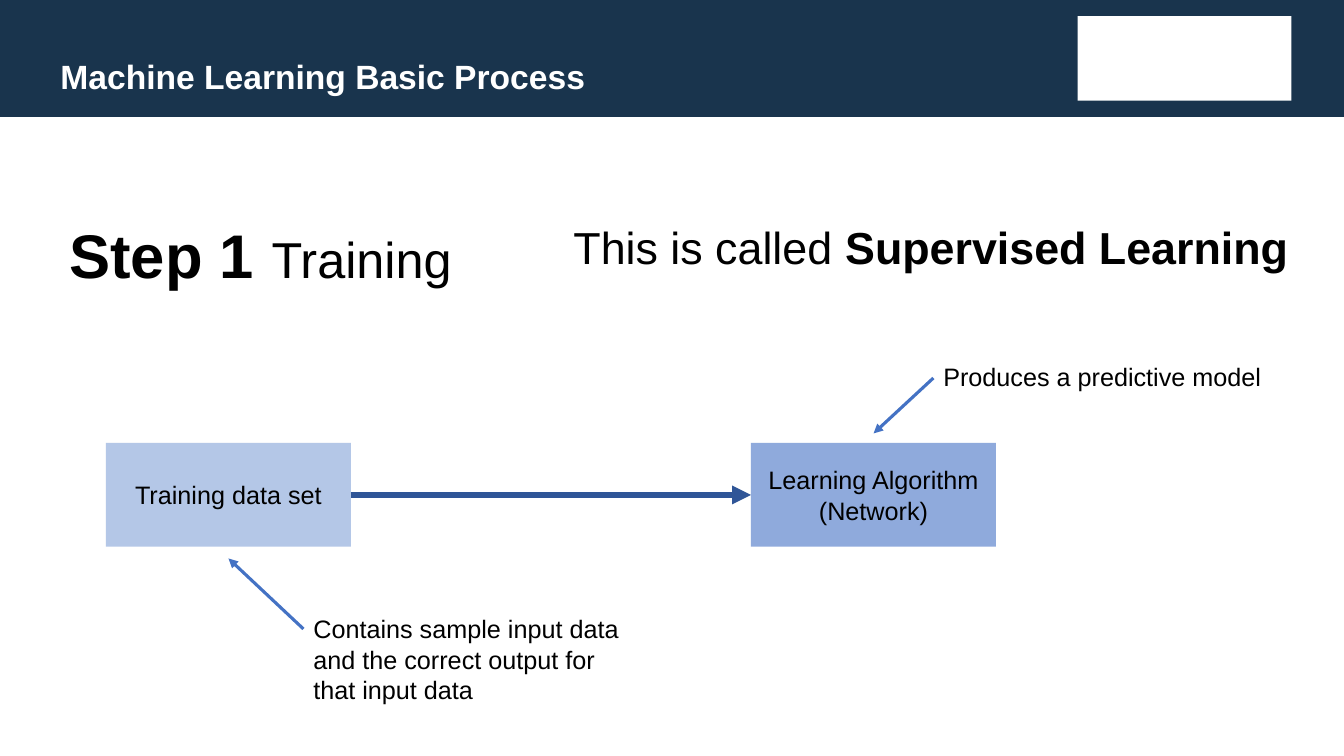
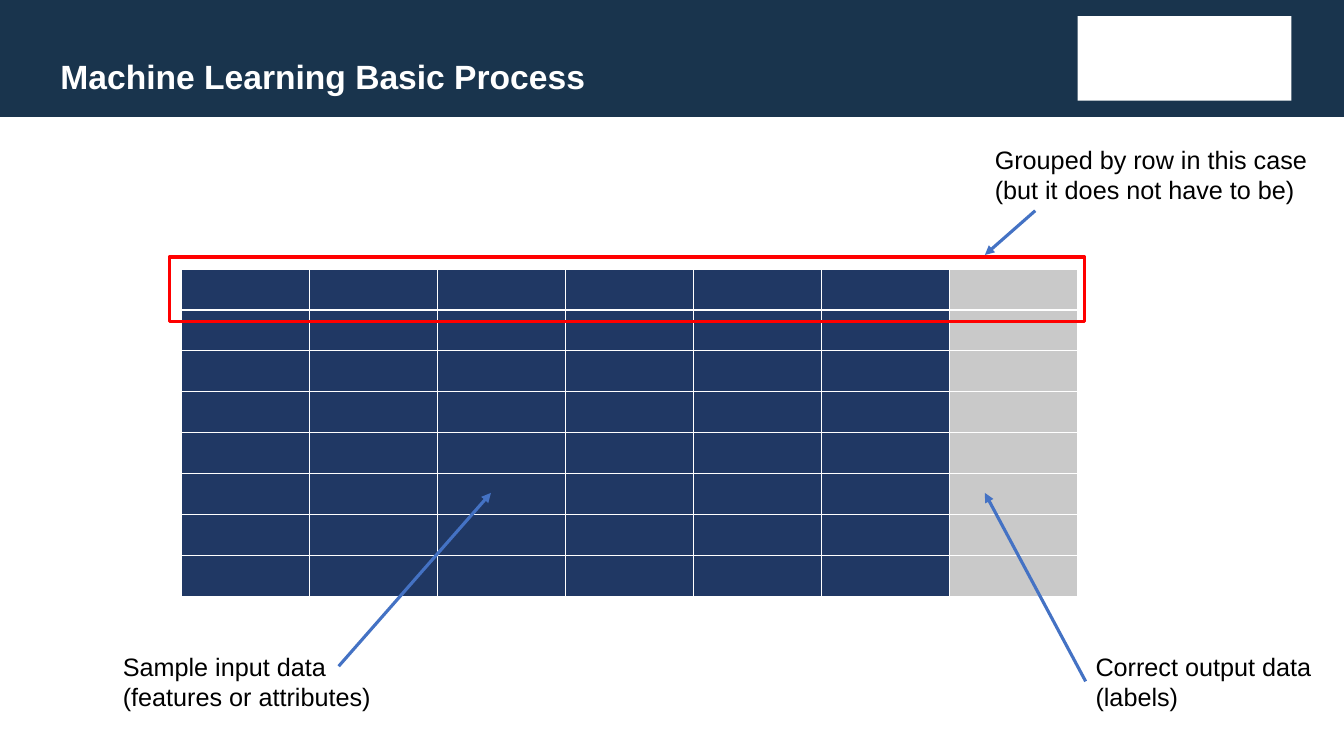
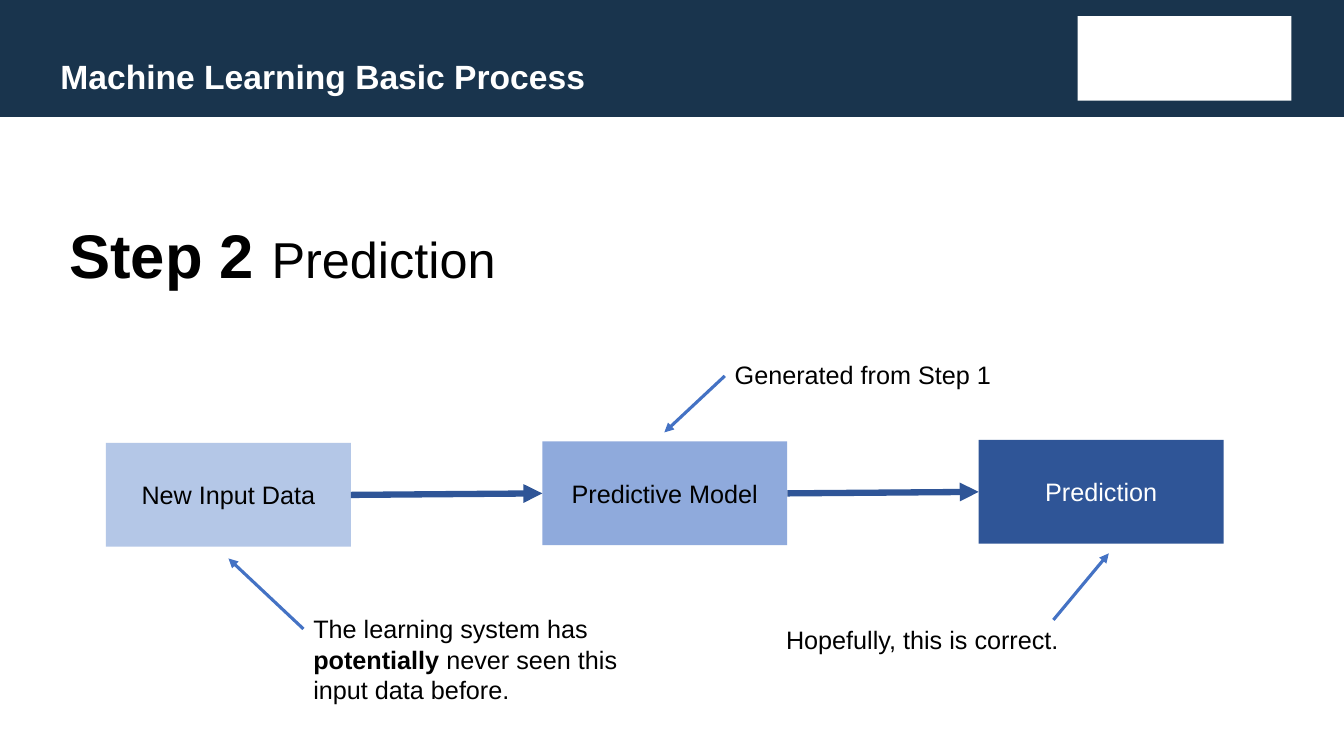
from dataclasses import dataclass
from typing import Any

import pptx
import pptx.dml.color
import pptx.enum.shapes
import pptx.enum.text
import pptx.oxml
import pptx.oxml.ns
import pptx.util

RGBColor = pptx.dml.color.RGBColor
WHITE = RGBColor(0xFF, 0xFF, 0xFF)
BLACK = RGBColor(0x00, 0x00, 0x00)
RED = RGBColor(0xFF, 0x00, 0x00)
BAND = RGBColor(0x19, 0x34, 0x4D)
PALE_BLUE = RGBColor(0xB4, 0xC7, 0xE7)
MID_BLUE = RGBColor(0x8F, 0xAA, 0xDC)
DEEP_BLUE = RGBColor(0x2F, 0x55, 0x97)
POINTER_BLUE = RGBColor(0x44, 0x72, 0xC4)
FEATURE_NAVY = RGBColor(0x20, 0x38, 0x64)
LABEL_GREY = RGBColor(0xC9, 0xC9, 0xC9)

FONT = "Arial"
TITLE = "Machine Learning Basic Process"
SLIDE_WIDTH = pptx.util.Inches(40 / 3)
SLIDE_HEIGHT = pptx.util.Inches(7.5)
TITLE_ONLY = 5

# The slide is a grid of 100 columns by 100 rows.
BAND_ROWS = 15.47
STAGE_COLUMNS, STAGE_ROWS = 18.23, 13.73
STAGE_LEFT, STAGE_PITCH = 7.88, 32.47
FEATURES, SAMPLES = 6, 8
CELL_COLUMNS, CELL_ROWS = 9.52, 5.4


@dataclass(frozen=True)
class Area:
    left: float
    top: float
    width: float
    height: float


@dataclass(frozen=True)
class Words:
    text: str
    size: float = 18
    bold: bool = False


@dataclass(frozen=True)
class Note:
    area: Area
    paragraphs: list[list[Words]]
    wrap: bool = True


@dataclass(frozen=True)
class Stage:
    text: str
    left: float
    top: float
    fill: RGBColor
    ink: RGBColor = BLACK


@dataclass(frozen=True)
class Pointer:
    start: tuple[float, float]
    end: tuple[float, float]


def across(columns: float) -> int:
    return round(SLIDE_WIDTH * columns / 100)


def down(rows: float) -> int:
    return round(SLIDE_HEIGHT * rows / 100)


def extent(area: Area) -> tuple[int, int, int, int]:
    return across(area.left), down(area.top), across(area.width), down(area.height)


def assign(target: Any, values: dict[str, Any]) -> None:
    for name, value in values.items():
        setattr(target, name, value)


def write(paragraph: Any, words: list[Words], ink: RGBColor = BLACK) -> None:
    for part in words:
        run = paragraph.add_run()
        run.text = part.text
        assign(run.font, {"name": FONT, "size": pptx.util.Pt(part.size), "bold": part.bold})
        run.font.color.rgb = ink


def paint(shape: Any, fill: RGBColor) -> None:
    shape.fill.solid()
    shape.fill.fore_color.rgb = fill
    shape.line.fill.background()


def add_rectangle(slide: Any, area: Area) -> Any:
    rectangle = slide.shapes.add_shape(
        pptx.enum.shapes.MSO_SHAPE.RECTANGLE, *extent(area))
    rectangle.shadow.inherit = False
    return rectangle


def add_titled_slide(deck: Any) -> Any:
    """Add a slide with the dark title band and the white logo panel."""
    slide = deck.slides.add_slide(deck.slide_layouts[TITLE_ONLY])
    band = slide.shapes.title
    assign(band, dict(zip(("left", "top", "width", "height"),
                          extent(Area(0, 0, 100, BAND_ROWS)))))
    paint(band, BAND)
    assign(band.text_frame, {
        "vertical_anchor": pptx.enum.text.MSO_ANCHOR.BOTTOM,
        "auto_size": pptx.enum.text.MSO_AUTO_SIZE.NONE,
        "word_wrap": True,
        "margin_left": pptx.util.Inches(0.1),
        "margin_top": pptx.util.Inches(0.05),
        "margin_right": pptx.util.Inches(0.1),
        "margin_bottom": pptx.util.Inches(0.2),
    })
    heading = band.text_frame.paragraphs[0]
    assign(heading, {
        "alignment": pptx.enum.text.PP_ALIGN.LEFT,
        "line_spacing": 0.9,
        "space_before": pptx.util.Pt(0),
        "space_after": pptx.util.Pt(6),
    })
    assign_indent = heading._p.get_or_add_pPr().set
    assign_indent("marL", str(pptx.util.Inches(0.5)))
    assign_indent("indent", "0")
    write(heading, [Words(TITLE, 24, True)], WHITE)
    paint(add_rectangle(slide, Area(80.18, 2.13, 15.9, 11.2)), WHITE)
    return slide


def add_note(slide: Any, note: Note) -> None:
    frame = slide.shapes.add_textbox(*extent(note.area)).text_frame
    assign(frame, {"word_wrap": note.wrap,
                   "auto_size": pptx.enum.text.MSO_AUTO_SIZE.SHAPE_TO_FIT_TEXT})
    for index, words in enumerate(note.paragraphs):
        write(frame.add_paragraph() if index else frame.paragraphs[0], words)


def add_step(slide: Any, number: int, name: str) -> None:
    add_note(slide, Note(Area(4.43, 28, 91.65, 11.2),
                         [[Words(f"Step {number} ", 44, True), Words(name, 36)]]))


def add_arrow(slide: Any, pointer: Pointer, color: RGBColor, weight: float) -> Any:
    (x1, y1), (x2, y2) = pointer.start, pointer.end
    arrow = slide.shapes.add_connector(
        pptx.enum.shapes.MSO_CONNECTOR.STRAIGHT, across(x1), down(y1), across(x2), down(y2))
    arrow.line.color.rgb = color
    arrow.line.width = pptx.util.Pt(weight)
    head = pptx.oxml.parse_xml(
        f'<a:tailEnd {pptx.oxml.ns.nsdecls("a")} type="triangle"/>')
    arrow.line._get_or_add_ln().append(head)
    arrow._element.spPr.append(
        pptx.oxml.parse_xml(f'<a:effectLst {pptx.oxml.ns.nsdecls("a")}/>'))
    return arrow


def add_stage(slide: Any, stage: Stage) -> Any:
    box = add_rectangle(slide, Area(stage.left, stage.top, STAGE_COLUMNS, STAGE_ROWS))
    paint(box, stage.fill)
    assign(box.text_frame, {"word_wrap": True,
                            "vertical_anchor": pptx.enum.text.MSO_ANCHOR.MIDDLE})
    label = box.text_frame.paragraphs[0]
    label.alignment = pptx.enum.text.PP_ALIGN.CENTER
    write(label, [Words(stage.text)], stage.ink)
    return box


def add_flow(slide: Any, stages: list[Stage]) -> None:
    """Draw the stages and join each one to the next."""
    boxes = [add_stage(slide, stage) for stage in stages]
    for source, target in zip(boxes, boxes[1:]):
        link = add_arrow(slide, Pointer((0, 0), (0, 0)), DEEP_BLUE, 4.5)
        link.begin_connect(source, 3)
        link.end_connect(target, 1)


def add_remarks(slide: Any, notes: list[Note], pointers: list[Pointer]) -> None:
    for note in notes:
        add_note(slide, note)
    for pointer in pointers:
        add_arrow(slide, pointer, POINTER_BLUE, 2.25)


def add_border(cell: Any) -> None:
    for side in ("lnL", "lnR", "lnT", "lnB"):
        cell._tc.get_or_add_tcPr().append(pptx.oxml.parse_xml(
            f'<a:{side} {pptx.oxml.ns.nsdecls("a")} w="{pptx.util.Pt(1)}">'
            f'<a:solidFill><a:srgbClr val="{WHITE}"/></a:solidFill></a:{side}>'))


def add_data_set(slide: Any) -> None:
    """Draw the sample rows: feature columns, then one label column."""
    columns = FEATURES + 1
    area = Area(13.52, 35.6, columns * CELL_COLUMNS, SAMPLES * CELL_ROWS)
    table = slide.shapes.add_table(SAMPLES, columns, *extent(area)).table
    assign(table, {"first_row": False, "horz_banding": False})
    for column in table.columns:
        column.width = across(CELL_COLUMNS)
    for sample in table.rows:
        sample.height = down(CELL_ROWS)
        for index, cell in enumerate(sample.cells):
            add_border(cell)
            cell.fill.solid()
            cell.fill.fore_color.rgb = FEATURE_NAVY if index < FEATURES else LABEL_GREY


FIRST_NOTE = Area(22.58, 80.53, 24.75, 13.47)
FIRST_POINTER = Pointer((22.58, 83.2), (17, 73.87))


def build_training(deck: Any) -> None:
    slide = add_titled_slide(deck)
    add_step(slide, 1, "Training")
    add_flow(slide, [
        Stage("Training data set", STAGE_LEFT, 58.6, PALE_BLUE),
        Stage("Learning Algorithm (Network)", 55.88, 58.6, MID_BLUE),
    ])
    add_remarks(slide, [
        Note(Area(69.45, 47.07, 25.43, 5.33), [[Words("Produces a predictive model")]], False),
        Note(FIRST_NOTE, [[Words(
            "Contains sample input data and the correct output for that input data")]]),
        Note(Area(41.93, 28.4, 55.13, 8.53),
             [[Words("This is called ", 32), Words("Supervised Learning", 32, True)]], False),
    ], [Pointer((69.45, 50), (65, 57.33)), FIRST_POINTER])


def build_data_set(deck: Any) -> None:
    slide = add_titled_slide(deck)
    add_data_set(slide)
    add_remarks(slide, [
        Note(Area(8.4, 85.47, 20.1, 9.47),
             [[Words("Sample input data")], [Words("(features or attributes)")]], False),
        Note(Area(80.78, 85.47, 17.7, 9.47),
             [[Words("Correct output data")], [Words("(labels)")]], False),
        Note(Area(73.28, 18.4, 26.1, 9.47),
             [[Words("Grouped by row in this case")], [Words("(but it does not have to be)")]]),
    ], [
        Pointer((25.2, 88.13), (36.53, 65.2)),
        Pointer((80.78, 90.13), (73.28, 65.2)),
        Pointer((77.03, 27.87), (73.28, 33.73)),
    ])
    row_outline = add_rectangle(slide, Area(12.6, 34, 68.1, 8.53))
    row_outline.fill.background()
    row_outline.line.color.rgb = RED
    row_outline.line.width = pptx.util.Pt(2.5)


def build_prediction(deck: Any) -> None:
    slide = add_titled_slide(deck)
    add_step(slide, 2, "Prediction")
    add_flow(slide, [
        Stage("New Input Data", STAGE_LEFT, 58.6, PALE_BLUE),
        Stage("Predictive Model", STAGE_LEFT + STAGE_PITCH, 58.4, MID_BLUE),
        Stage("Prediction", STAGE_LEFT + 2 * STAGE_PITCH, 58.2, DEEP_BLUE, WHITE),
    ])
    add_remarks(slide, [
        Note(Area(53.93, 46.93, 20.78, 5.33), [[Words("Generated from Step 1")]], False),
        Note(FIRST_NOTE, [[Words("The learning system has "), Words("potentially", bold=True),
                           Words(" never seen this input data before.")]]),
        Note(Area(57.75, 81.87, 24.75, 5.33), [[Words("Hopefully, this is correct.")]]),
    ], [
        Pointer((53.93, 49.73), (49.43, 57.2)),
        FIRST_POINTER,
        Pointer((78.38, 82), (82.5, 73.2)),
    ])


def main() -> None:
    deck = pptx.Presentation()
    assign(deck, {"slide_width": SLIDE_WIDTH, "slide_height": SLIDE_HEIGHT})
    for build in (build_training, build_data_set, build_prediction):
        build(deck)
    deck.save("out.pptx")


if __name__ == "__main__":
    main()
